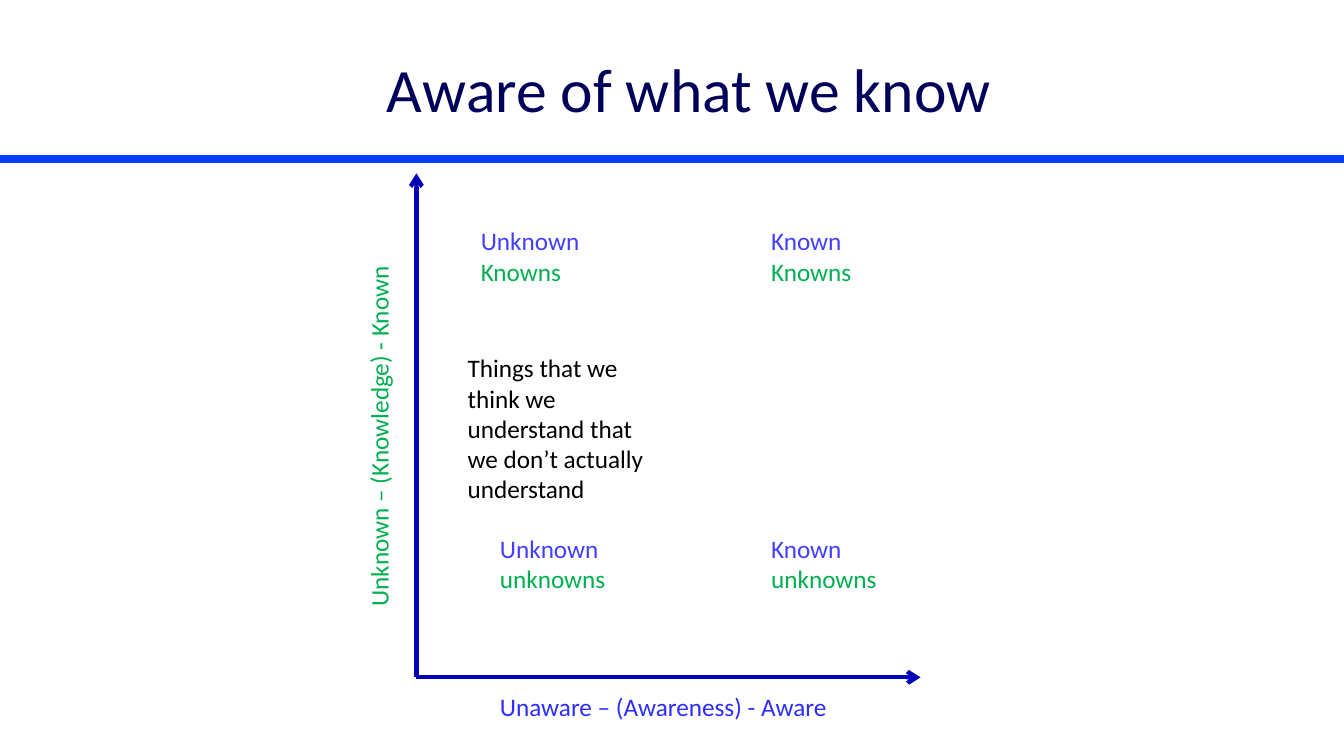
from lxml import etree
from pptx import Presentation
from pptx.dml.color import RGBColor
from pptx.enum.shapes import MSO_CONNECTOR
from pptx.enum.text import MSO_ANCHOR, PP_ALIGN
from pptx.oxml.ns import qn
from pptx.util import Inches, Pt

STRAIGHT = MSO_CONNECTOR.STRAIGHT
MIDDLE, TOP = MSO_ANCHOR.MIDDLE, MSO_ANCHOR.TOP
CENTER, LEFT = PP_ALIGN.CENTER, PP_ALIGN.LEFT

FONT = "Calibri"
COLORS = {
    "title": "00005A",
    "rule": "003CFE",
    "axis": "0300BA",
    "awareness": "423FFF",
    "awareness_axis": "2D2DFF",
    "knowledge": "00B050",
    "note": "000000",
}
SLIDE_WIDTH, SLIDE_HEIGHT = 13.33, 7.5


def add_text(slide, box, lines, size=18, align=LEFT, anchor=TOP):
    """Add a text box with one paragraph per (text, color name) pair."""
    shape = slide.shapes.add_textbox(*map(Inches, box))
    text_frame = shape.text_frame
    text_frame.word_wrap = True
    text_frame.vertical_anchor = anchor
    text_frame.text = "\n".join(text for text, _ in lines)
    for paragraph, (_, color) in zip(text_frame.paragraphs, lines):
        paragraph.alignment = align
        font = paragraph.runs[0].font
        font.name, font.size = FONT, Pt(size)
        font.color.rgb = RGBColor.from_string(COLORS[color])
    return shape


def add_line(slide, start, end, color, width, arrow=False):
    """Add a straight line without shadow, with an optional arrowhead at its end."""
    line = slide.shapes.add_connector(STRAIGHT, *map(Inches, (*start, *end)))
    line.line.color.rgb = RGBColor.from_string(COLORS[color])
    line.line.width = Pt(width)
    if arrow:
        etree.SubElement(line.line._get_or_add_ln(), qn("a:tailEnd"), type="arrow")
    etree.SubElement(line._element.spPr, qn("a:effectLst"))


def add_header(slide, box):
    """Add the title and the full-width rule at the bottom of the box."""
    left, top, width, height = box
    bottom = top + height
    add_line(slide, (left, bottom), (left + width, bottom), "rule", 6)
    add_text(slide, (left + 0.67, top + 0.25, 12.33, 1.25),
             [("Aware of what we know", "title")], 44, CENTER, MIDDLE)


def add_axes(slide, box):
    """Add both arrows from the lower left corner of the box, with their labels."""
    left, top, width, height = box
    origin = (left, top + height)
    for end in ((left + width, origin[1]), (left, top)):
        add_line(slide, origin, end, "axis", 3, arrow=True)
    knowledge = add_text(slide, (left - 2.27, top + 2.3, 3.79, 0.4),
                         [("Unknown – (Knowledge) - Known", "knowledge")])
    knowledge.rotation = 270
    add_text(slide, (left + 0.73, origin[1] + 0.09, 3.61, 0.4),
             [("Unaware – (Awareness) - Aware", "awareness_axis")])


def add_quadrants(slide, box):
    """Add the four quadrant labels and the note inside the box."""
    left, top = box[:2]
    upper, lower, right = 0.47, 3.52, 3.42
    quadrants = [
        (0.54, upper, "Unknown", "Knowns"),
        (right, upper, "Known", "Knowns"),
        (0.73, lower, "Unknown", "unknowns"),
        (right, lower, "Known", "unknowns"),
    ]
    for x, y, awareness, knowledge in quadrants:
        add_text(slide, (left + x, top + y, 1.31, 0.71),
                 [(awareness, "awareness"), (knowledge, "knowledge")])
    note = "Things that we think we understand that we don’t actually understand"
    add_text(slide, (left + 0.41, top + 1.73, 1.94, 1.92), [(note, "note")])


def main():
    """Build the slide and save it."""
    presentation = Presentation()
    presentation.slide_width = Inches(SLIDE_WIDTH)
    presentation.slide_height = Inches(SLIDE_HEIGHT)
    slide = presentation.slides.add_slide(presentation.slide_layouts[6])
    chart_box = (4.13, 1.72, 5, 5)
    add_header(slide, (0, 0, SLIDE_WIDTH, 1.58))
    add_axes(slide, chart_box)
    add_quadrants(slide, chart_box)
    presentation.save("out.pptx")


main()
